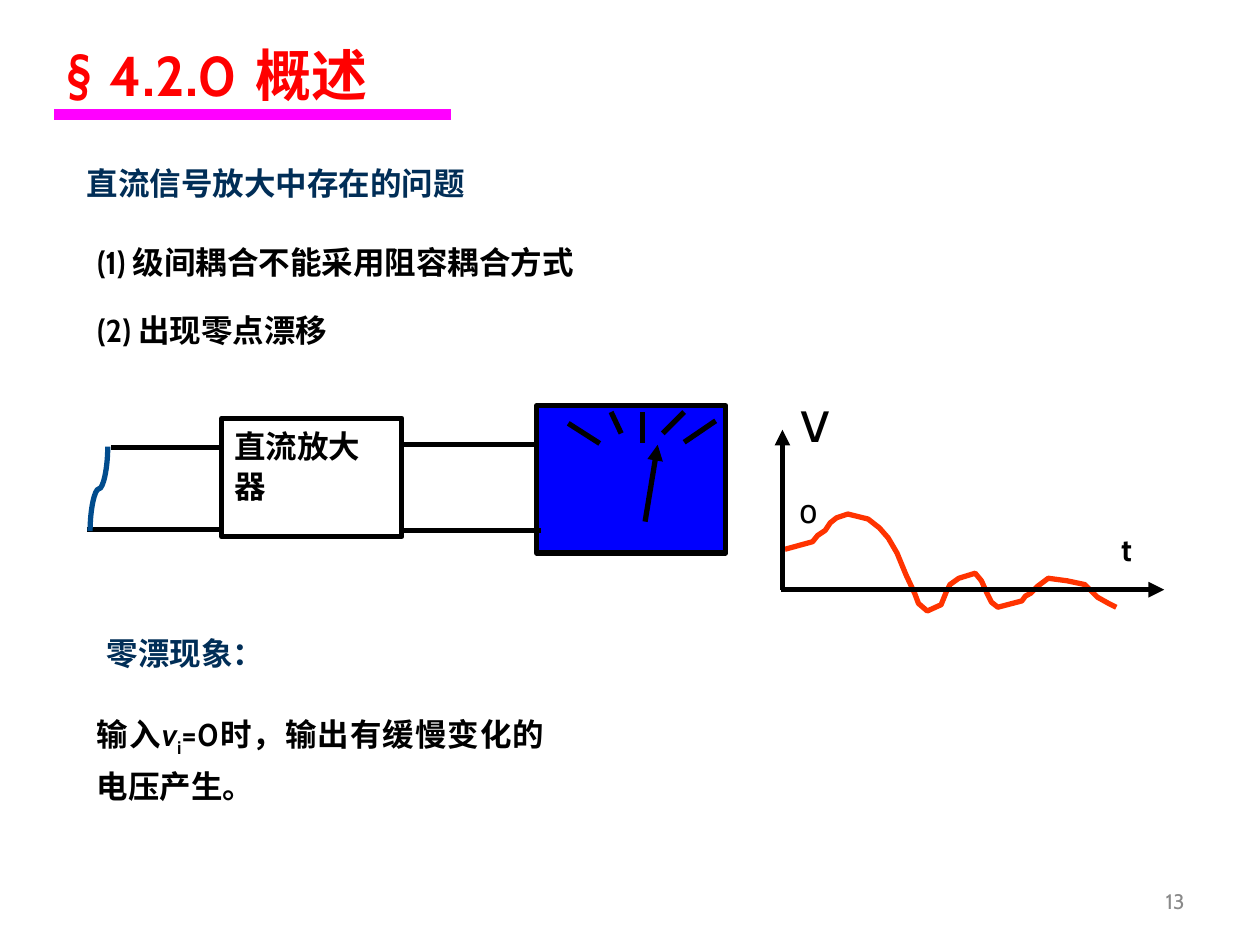
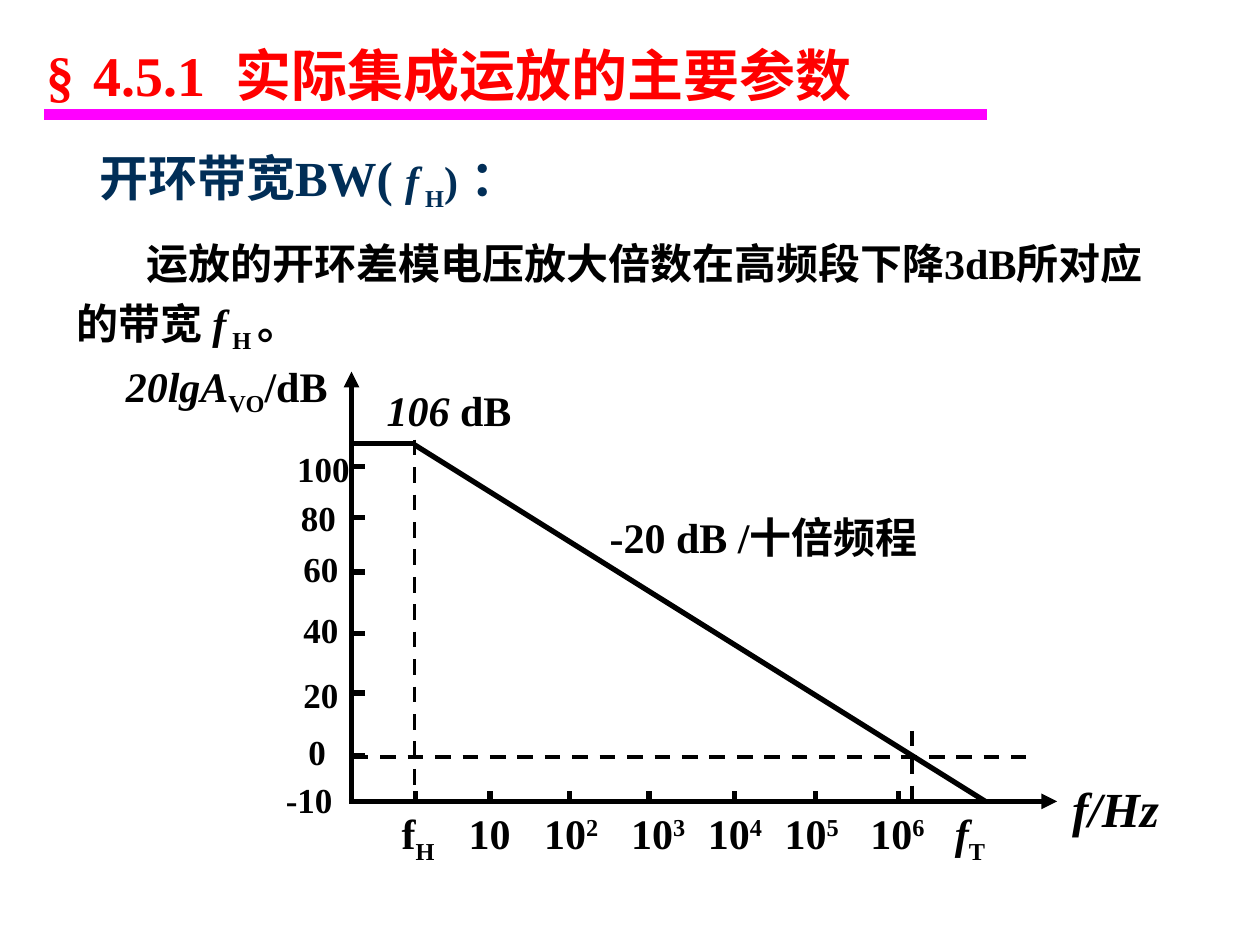
from lxml.etree import SubElement
from pptx import Presentation
from pptx.dml.color import RGBColor
from pptx.enum.dml import MSO_LINE
from pptx.enum.shapes import MSO_CONNECTOR as CONNECTOR, MSO_SHAPE
from pptx.enum.text import MSO_ANCHOR as ANCHOR, MSO_AUTO_SIZE, PP_ALIGN as ALIGN
from pptx.oxml.ns import qn
from pptx.util import Pt

PX = 9144  # EMU per px, 100 px to the inch
COLORS = {
    "title": "FF0000", "rule": "FF00FF", "heading": "012E57", "black": "000000",
    "meter": "0000FF", "input": "014C8D", "drift": "FF3300", "number": "898989",
}
CABIN, TIMES, MONO, CJK = "Cabin", "Times New Roman", "DejaVu Sans Mono", "Noto Sans CJK SC"
SUB, SUPER = {"baseline": -25, "italic": False}, {"baseline": 30}
ITALIC, UPRIGHT = {"italic": True}, {"italic": False}


def put_text(shape, box, paragraphs, font, size, color="black", bold=True, italic=None,
             align=ALIGN.LEFT, anchor=ANCHOR.TOP, leading=None, gap=0, indent=0, tab=None, wrap=True):
    """Place a shape and fill it; a paragraph is a string or a list of (text, options) runs."""
    shape.left, shape.top, shape.width, shape.height = [value * PX for value in box]
    frame = shape.text_frame
    frame.auto_size = MSO_AUTO_SIZE.NONE
    frame.word_wrap = wrap
    frame.vertical_anchor = anchor
    for index, runs in enumerate(paragraphs):
        paragraph = frame.add_paragraph() if index else frame.paragraphs[0]
        properties = paragraph._p.get_or_add_pPr()
        properties.set("marL", "0")
        properties.set("indent", str(indent * PX))
        SubElement(properties, qn("a:buNone"))
        if tab:
            tabs = SubElement(properties, qn("a:tabLst"))
            SubElement(tabs, qn("a:tab"), pos=str(tab * PX), algn="l")
        paragraph.alignment = align
        paragraph.space_before = Pt(gap if index else 0)
        if leading:
            paragraph.line_spacing = Pt(leading)
        paragraph.font.name, paragraph.font.size = font, Pt(size)
        paragraph.font.bold, paragraph.font.italic = bold, italic
        paragraph.font.color.rgb = RGBColor.from_string(COLORS[color])
        SubElement(properties.find(qn("a:defRPr")), qn("a:ea"), typeface=CJK)
        for text, options in [(runs, {})] if isinstance(runs, str) else runs:
            run = paragraph.add_run()
            run.text = text
            if "size" in options:
                run.font.size = Pt(options["size"])
            if "italic" in options:
                run.font.italic = options["italic"]
            if "baseline" in options:
                run._r.get_or_add_rPr().set("baseline", str(options["baseline"] * 1000))


def add_line(slide, start, end, color="black", width=3, arrow=False, dash=False, kind=CONNECTOR.STRAIGHT):
    connector = slide.shapes.add_connector(kind, *[value * PX for value in (*start, *end)])
    connector.line.color.rgb = RGBColor.from_string(COLORS[color])
    connector.line.width = Pt(width)
    if dash:
        connector.line.dash_style = MSO_LINE.DASH
    properties = connector._element.spPr
    if arrow:
        SubElement(properties.find(qn("a:ln")), qn("a:tailEnd"), type="triangle")
    SubElement(properties, qn("a:effectLst"))
    return connector


presentation = Presentation()
presentation.slide_width, presentation.slide_height = 1000 * PX, 750 * PX

# Shared title and rule
slides = []
for number, topic, font, box, tab, rule in [
    ("4.2.0", "概述", CABIN, (43, 28, 347, 61), 165, (43, 358)),
    ("4.5.1", "实际集成运放的主要参数", TIMES, (27, 28, 780, 61), 159, (35, 783)),
]:
    slide = presentation.slides.add_slide(presentation.slide_layouts[1])
    put_text(slide.shapes.title, box,
             [[("§", {}), (" ", {"size": 44}), (f"{number}\t{topic}", {})]],
             font, 32, "title", anchor=ANCHOR.MIDDLE, leading=44, tab=tab)
    add_line(slide, (rule[0], 91), (rule[1], 91), "rule", 6)
    slides.append(slide)
drift_slide, bandwidth_slide = slides

# Slide 1: headings, list and explanation
shapes = drift_slide.shapes
put_text(drift_slide.placeholders[1], (67, 186, 742, 105),
         ["(1) 级间耦合不能采用阻容耦合方式", "(2) 出现零点漂移"], CABIN, 18, leading=23, gap=16)
for box, heading in [((59, 123, 575, 50), "直流信号放大中存在的问题"),
                     ((75, 496, 233, 50), "零漂现象：")]:
    put_text(shapes.add_textbox(0, 0, 0, 0), box, [heading], CABIN, 18, "heading", leading=23)
put_text(shapes.add_textbox(0, 0, 0, 0), (67, 559, 375, 98),
         [[("输入", {}), ("v", ITALIC), ("i", SUB), ("=0时，输出有缓慢变化的电压产生。", {})]],
         CABIN, 18, align=ALIGN.JUSTIFY, leading=27)
put_text(shapes.add_textbox(0, 0, 0, 0), (717, 695, 233, 40), ["13"], CABIN, 12, "number",
         bold=False, align=ALIGN.RIGHT, anchor=ANCHOR.MIDDLE)

# Slide 1: amplifier and meter
meter = shapes.add_shape(MSO_SHAPE.RECTANGLE, 426 * PX, 322 * PX, 150 * PX, 117 * PX)
amplifier = shapes.add_shape(MSO_SHAPE.RECTANGLE, 176 * PX, 332 * PX, 143 * PX, 94 * PX)
meter.fill.solid()
meter.fill.fore_color.rgb = RGBColor.from_string(COLORS["meter"])
amplifier.fill.background()
for block in (meter, amplifier):
    block.shadow.inherit = False
    block.line.color.rgb = RGBColor.from_string(COLORS["black"])
    block.line.width = Pt(3)
put_text(amplifier, (176, 332, 143, 94), ["直流放大器"], CABIN, 18, leading=23)

scale_marks = [((451, 336), (476, 352)), ((485, 327), (493, 344)), ((510, 327), (510, 352)),
               ((543, 327), (526, 344)), ((568, 334), (543, 351))]
wires = [((88, 355), (174, 355)), ((69, 420), (177, 420)),
         ((319, 353), (427, 353)), ((321, 421), (429, 421))]
for start, end in scale_marks + wires:
    add_line(drift_slide, start, end)
add_line(drift_slide, (512, 414), (522, 353), arrow=True)
input_short = add_line(drift_slide, (45, 381), (112, 395), "input", kind=CONNECTOR.CURVE)
input_short._element.spPr.find(qn("a:xfrm")).set("rot", str(90 * 60000))

# Slide 1: drifting output voltage
drift_points = [
    (645, 430), (649, 425), (655, 421), (659, 415), (664, 411), (673, 408), (689, 412), (698, 419),
    (705, 427), (712, 439), (719, 456), (726, 471), (729, 479), (736, 485), (747, 480), (751, 470),
    (754, 464), (761, 459), (774, 455), (779, 461), (783, 470), (787, 478), (792, 482), (811, 477),
    (814, 473), (818, 471), (824, 465), (832, 459), (847, 461), (861, 464), (871, 474), (880, 479),
    (886, 482),
]
builder = shapes.build_freeform(623, 436, scale=PX)
builder.add_line_segments(drift_points, close=False)
drift_curve = builder.convert_to_shape()
drift_curve.shadow.inherit = False
drift_curve.fill.background()
drift_curve.line.color.rgb = RGBColor.from_string(COLORS["drift"])
drift_curve.line.width = Pt(3)
add_line(drift_slide, (620, 468), (924, 468), arrow=True)
add_line(drift_slide, (621, 468), (621, 341), arrow=True)
put_text(shapes.add_textbox(0, 0, 0, 0), (880, 416, 64, 50), ["t"], CABIN, 18)
put_text(shapes.add_textbox(0, 0, 0, 0), (624, 302, 59, 63), [[("v", {}), ("o", SUB)]],
         MONO, 32, bold=False)

# Slide 2: heading and definition
shapes = bandwidth_slide.shapes
put_text(shapes.add_textbox(0, 0, 0, 0), (51, 115, 899, 56),
         [[("开环带宽BW( ", {}), ("f", {"size": 24, "italic": True}),
           (" H", {"size": 24, **SUB}), (")", {"size": 24}), (" ：", {})]],
         TIMES, 28, "heading", leading=35, indent=18)
put_text(bandwidth_slide.placeholders[1], (51, 171, 899, 106),
         [[("运放的开环差模电压放大倍数在高频段下降3dB所对应的带宽 ", {}),
           ("f", ITALIC), (" H ", SUB), ("。", {})]],
         TIMES, 24, leading=38, indent=55)

# Slide 2: axes, ticks and guides
add_line(bandwidth_slide, (277, 636), (839, 636), arrow=True)
add_line(bandwidth_slide, (279, 637), (279, 295), arrow=True)
for start, end in [((280, 601), (814, 601)), ((329, 349), (329, 636)), ((724, 580), (724, 642))]:
    add_line(bandwidth_slide, start, end, width=2.25, dash=True)
for x in (330, 389, 452, 515, 583, 647, 713):
    add_line(bandwidth_slide, (x, 628), (x, 636))
for y in (370, 411, 454, 503, 550, 600):
    add_line(bandwidth_slide, (279, y), (290, y))

# Slide 2: gain response
add_line(bandwidth_slide, (280, 352), (330, 352))
add_line(bandwidth_slide, (329, 353), (782, 636))

# Slide 2: axis labels
for label, left, top, width in [
    ("100", 226, 350, 62), ("80", 229, 389, 48), ("60", 231, 430, 48), ("40", 231, 478, 48),
    ("20", 231, 530, 48), ("0", 235, 575, 34), ("-10", 217, 613, 57),
]:
    put_text(shapes.add_textbox(0, 0, 0, 0), (left, top, width, 43), [label], TIMES, 20, wrap=False)
for left, width, runs in [
    (309, 60, [("f", {}), ("H", SUB)]),
    (362, 58, [("10", {})]),
    (422, 74, [("10", {}), ("2", SUPER)]),
    (491, 75, [("10", {}), ("3", SUPER)]),
    (552, 78, [("10", {}), ("4", SUPER)]),
    (613, 67, [("10", {}), ("5", SUPER)]),
    (681, 67, [("10", {}), ("6", SUPER)]),
    (748, 60, [("f", ITALIC), ("T", SUB)]),
]:
    put_text(shapes.add_textbox(0, 0, 0, 0), (left, 636, width, 50), [runs], TIMES, 24)
put_text(shapes.add_textbox(0, 0, 0, 0), (841, 613, 132, 57), ["f/Hz"], TIMES, 28, italic=True)
put_text(shapes.add_textbox(0, 0, 0, 0), (90, 281, 199, 50),
         [[("20lgA", ITALIC), ("VO", SUB), ("/dB", {})]], TIMES, 24)
put_text(shapes.add_textbox(0, 0, 0, 0), (297, 300, 119, 50),
         [[("106 ", ITALIC), ("dB", UPRIGHT)]], TIMES, 24, wrap=False)
put_text(shapes.add_textbox(0, 0, 0, 0), (474, 399, 303, 50), ["-20 dB /十倍频程"],
         TIMES, 24, leading=30)

presentation.save("out.pptx")
